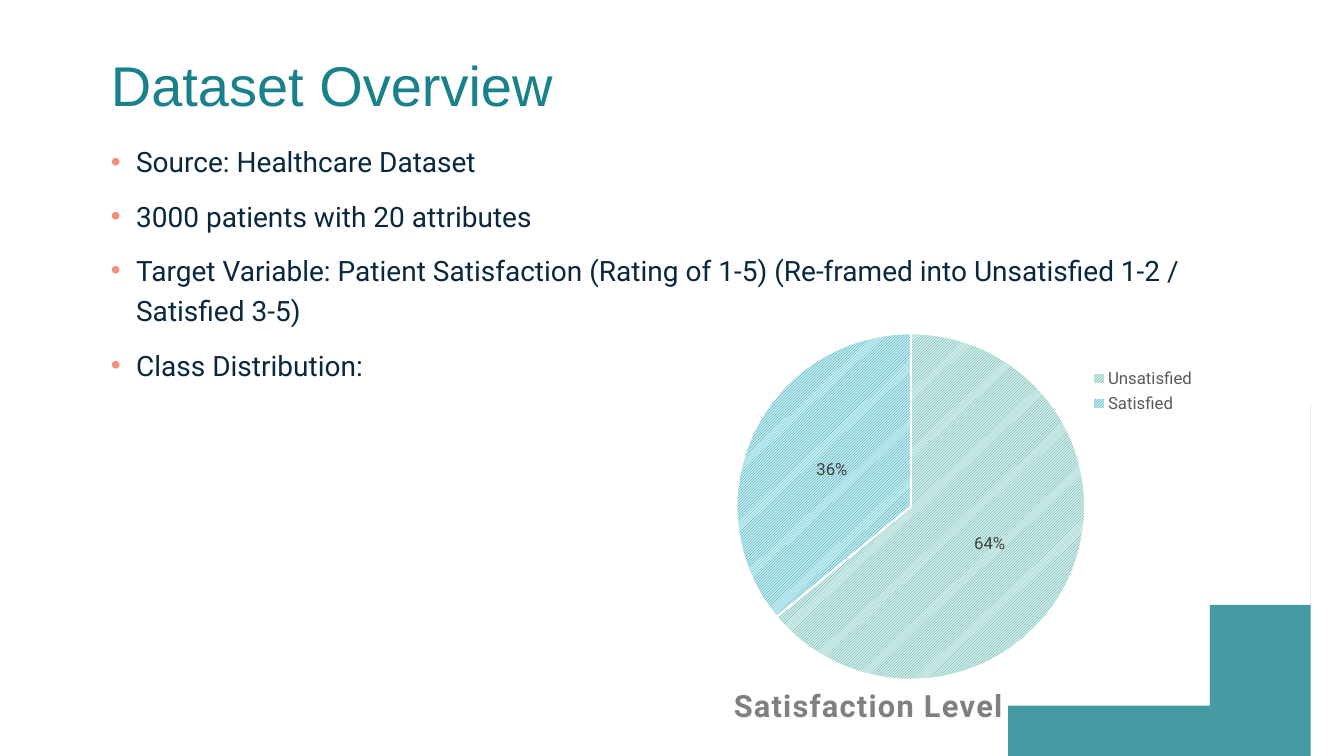
from dataclasses import dataclass
from typing import Any

from lxml import etree
from pptx import Presentation
from pptx import util as u
from pptx.chart.data import CategoryChartData
from pptx.dml.color import RGBColor
from pptx.enum import chart as charts, dml, text
from pptx.oxml import ns, parse_xml

TEAL = RGBColor(0x18, 0x81, 0x8C)
NAVY = RGBColor(0x09, 0x28, 0x3F)
CORAL = RGBColor(0xF4, 0x8E, 0x7C)
WHITE = RGBColor(0xFF, 0xFF, 0xFF)
TITLE_GRAY = RGBColor(0x80, 0x80, 0x80)
LEGEND_GRAY = RGBColor(0x59, 0x59, 0x59)
LABEL_GRAY = RGBColor(0x40, 0x40, 0x40)

BULLETS = (
    "Source: Healthcare Dataset",
    "3000 patients with 20 attributes",
    "Target Variable: Patient Satisfaction (Rating of 1-5) "
    "(Re-framed into Unsatisfied 1-2 / Satisfied 3-5)",
    "Class Distribution:",
)


@dataclass(frozen=True)
class Box:
    left: float
    top: float
    width: float
    height: float

    def inches(self) -> list[u.Length]:
        return [u.Inches(v) for v in (self.left, self.top, self.width, self.height)]


@dataclass(frozen=True)
class Segment:
    name: str
    percent: int
    stripe: RGBColor
    ground: RGBColor


SEGMENTS = (
    Segment("Unsatisfied", 64, RGBColor(0x3C, 0x9A, 0x8F), RGBColor(0xD4, 0xEE, 0xEB)),
    Segment("Satisfied", 36, TEAL, RGBColor(0xC4, 0xF0, 0xF5)),
)


def set_values(target: Any, values: dict[str, Any]) -> None:
    for name, value in values.items():
        setattr(target, name, value)


def format_font(font: Any, size: float, color: RGBColor, name: str = "Roboto",
                bold: bool = False) -> None:
    set_values(font, {"size": u.Pt(size), "name": name, "bold": bold})
    font.color.rgb = color


def place(shape: Any, box: Box) -> None:
    set_values(shape, dict(zip(("left", "top", "width", "height"), box.inches())))


def add_corner(slide: Any) -> None:
    """Draw the translucent corner, its curve sampled from a cubic Bezier."""
    controls = ((9.68, 7.5), (11.58, 7.5), (13.15, 6.02), (13.33, 4.13))
    steps = 60
    curve = []
    for step in range(steps + 1):
        t = step / steps
        weights = ((1 - t) ** 3, 3 * t * (1 - t) ** 2, 3 * t * t * (1 - t), t ** 3)
        curve.append(tuple(sum(w * p[axis] for w, p in zip(weights, controls))
                           for axis in (0, 1)))
    builder = slide.shapes.build_freeform(*curve[0], scale=u.Inches(1))
    builder.add_line_segments(curve[1:] + [(13.33, 7.5)], close=True)
    corner = builder.convert_to_shape()
    corner.shadow.inherit = False
    corner.line.fill.background()
    corner.fill.solid()
    corner.fill.fore_color.rgb = TEAL
    color = corner.fill._xPr.find(".//" + ns.qn("a:srgbClr"))
    etree.SubElement(color, ns.qn("a:alpha"), val="80000")
    slide.shapes._spTree.insert(2, corner._element)


def add_title(slide: Any) -> None:
    title = slide.shapes.title
    place(title, Box(1, 0.11, 10.84, 1.45))
    title.text_frame.text = "Dataset Overview"
    title.text_frame.vertical_anchor = text.MSO_ANCHOR.MIDDLE
    paragraph = title.text_frame.paragraphs[0]
    paragraph.alignment = text.PP_ALIGN.LEFT
    format_font(paragraph.runs[0].font, 40, TEAL, "Arial")


def add_bullets(slide: Any) -> None:
    body = slide.placeholders[1]
    place(body, Box(1, 1.32, 10.84, 4.51))
    body.text_frame.text = "\n".join(BULLETS)
    for paragraph in body.text_frame.paragraphs:
        set_values(paragraph, {"line_spacing": 1.2, "space_before": u.Pt(10),
                               "alignment": text.PP_ALIGN.LEFT})
        format_font(paragraph.runs[0].font, 20, NAVY)
        properties = paragraph._p.get_or_add_pPr()
        properties.set("marL", str(u.Inches(0.25)))
        properties.set("indent", str(-u.Inches(0.25)))
        color = etree.SubElement(properties, ns.qn("a:buClr"))
        etree.SubElement(color, ns.qn("a:srgbClr"), val=str(CORAL))
        etree.SubElement(properties, ns.qn("a:buFont"), typeface="Arial")
        etree.SubElement(properties, ns.qn("a:buChar"), char="•")


def set_layout(element: Any, index: int, area: dict[str, float], inner: bool = False) -> None:
    """Fix a chart part at fractions of the chart's size."""
    for layout in element.findall(ns.qn("c:layout")):
        element.remove(layout)
    target = '<c:layoutTarget val="inner"/>' if inner else ""
    modes = '<c:xMode val="edge"/><c:yMode val="edge"/>'
    values = "".join(f'<c:{key} val="{value}"/>' for key, value in area.items())
    element.insert(index, parse_xml(
        f'<c:layout {ns.nsdecls("c")}><c:manualLayout>{target}{modes}{values}'
        "</c:manualLayout></c:layout>"))


def add_satisfaction_pie(slide: Any) -> None:
    data = CategoryChartData()
    data.categories = [segment.name for segment in SEGMENTS]
    data.add_series("Satisfaction Level", [segment.percent for segment in SEGMENTS])
    chart = slide.shapes.add_chart(
        charts.XL_CHART_TYPE.PIE, *Box(6.92, 3.01, 7.55, 4.27).inches(), data).chart
    format_font(chart.font, 10, RGBColor(0, 0, 0))

    chart.has_title = True
    frame = chart.chart_title.text_frame
    frame.text = "Satisfaction Level"
    run = frame.paragraphs[0].runs[0]
    format_font(run.font, 22, TITLE_GRAY, bold=True)
    run._r.get_or_add_rPr().set("spc", "100")
    set_layout(chart.chart_title._element, 1, {"x": 0.04, "y": 0.88})

    chart.has_legend = True
    set_values(chart.legend, {"position": charts.XL_LEGEND_POSITION.RIGHT,
                              "include_in_layout": False})
    format_font(chart.legend.font, 12, LEGEND_GRAY)
    set_layout(chart.legend._element, 1, {"x": 0.51, "y": 0.14, "w": 0.15, "h": 0.13})
    set_layout(chart._chartSpace.chart.plotArea, 0,
               {"x": 0.05, "y": 0.07, "w": 0.46, "h": 0.81}, inner=True)

    plot = chart.plots[0]
    set_values(plot, {"vary_by_categories": True, "has_data_labels": True})
    set_values(plot.data_labels, {
        "show_percentage": True, "show_value": False, "number_format": "0%",
        "number_format_is_linked": False,
        "position": charts.XL_LABEL_POSITION.CENTER})
    format_font(plot.data_labels.font, 12, LABEL_GRAY)
    for index, segment in enumerate(SEGMENTS):
        style = plot.series[0].points[index].format
        style.fill.patterned()
        style.fill.pattern = dml.MSO_PATTERN.LIGHT_UPWARD_DIAGONAL
        style.fill.fore_color.rgb = segment.stripe
        style.fill.back_color.rgb = segment.ground
        style.line.color.rgb = WHITE
        style.line.width = u.Pt(1.5)


def main() -> None:
    presentation = Presentation()
    set_values(presentation, {"slide_width": u.Inches(13.33),
                              "slide_height": u.Inches(7.5)})
    slide = presentation.slides.add_slide(presentation.slide_layouts[1])
    add_corner(slide)
    add_title(slide)
    add_bullets(slide)
    add_satisfaction_pie(slide)
    presentation.save("out.pptx")


if __name__ == "__main__":
    main()
